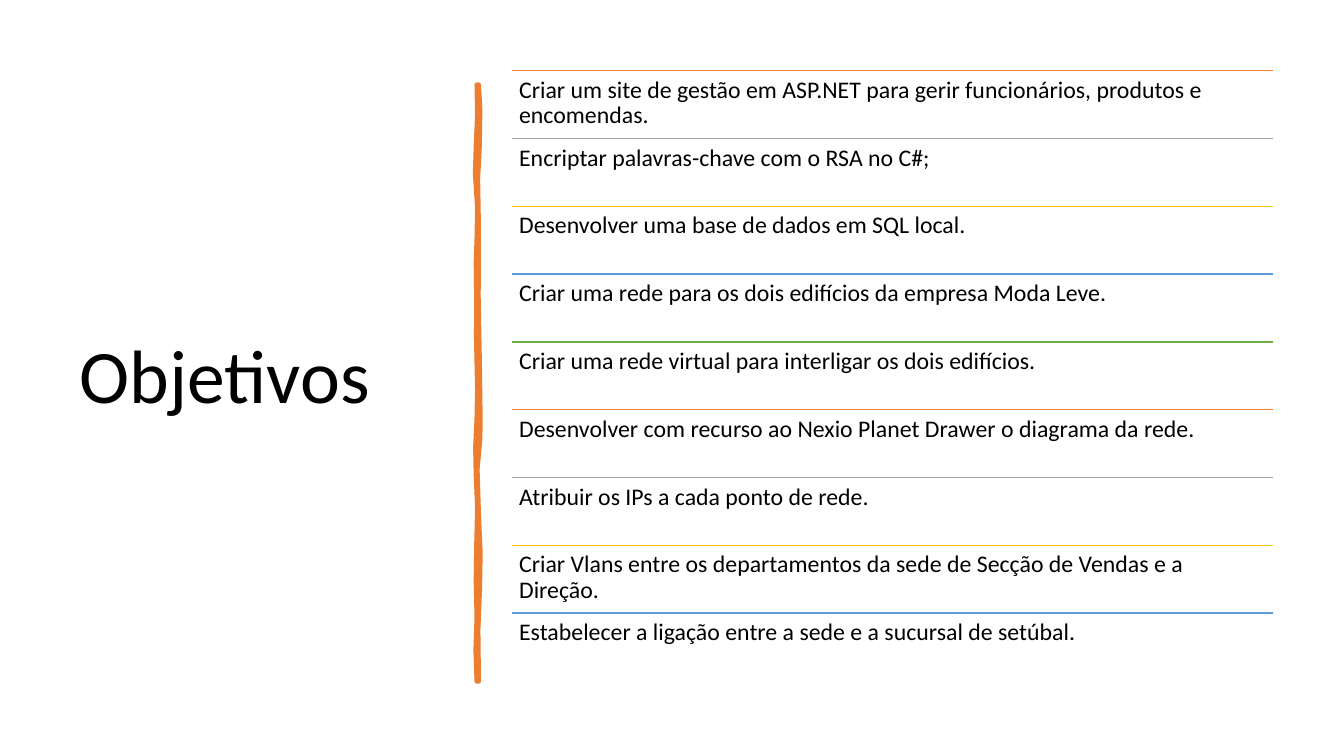
from lxml.etree import SubElement
from pptx import Presentation
from pptx.dml.color import RGBColor
from pptx.enum.shapes import MSO_CONNECTOR
from pptx.enum.text import MSO_ANCHOR, MSO_AUTO_SIZE, PP_ALIGN
from pptx.oxml.ns import qn
from pptx.util import Pt

COLORS = {
    "text": "000000", "orange": "ED7D31", "gray": "A5A5A5",
    "yellow": "FFC000", "blue": "5B9BD5", "green": "70AD47",
}
RULE_COLORS = ["orange", "gray", "yellow", "blue", "green"]
GOALS = [
    "Criar um site de gestão em ASP.NET para gerir funcionários, produtos e encomendas.",
    "Encriptar palavras-chave com o RSA no C#;",
    "Desenvolver uma base de dados em SQL local.",
    "Criar uma rede para os dois edifícios da empresa Moda Leve.",
    "Criar uma rede virtual para interligar os dois edifícios.",
    "Desenvolver com recurso ao Nexio Planet Drawer o diagrama da rede.",
    "Atribuir os IPs a cada ponto de rede.",
    "Criar Vlans entre os departamentos da sede de Secção de Vendas e a Direção.",
    "Estabelecer a ligação entre a sede e a sucursal de setúbal.",
]
LIST_LEFT, LIST_TOP, LIST_WIDTH, ROW_HEIGHT = 365.8, 50.5, 543.6, 48.43

# Outline of the hand-drawn bar: down the right edge, up the left one
BAR_OUTLINE = [
    (342, 60.5), (343, 78), (342.6, 105), (341.4, 128), (342, 163),
    (341.8, 212), (342.6, 256), (343.2, 300), (343, 314), (341, 335),
    (342, 367), (343.2, 395), (342.8, 420), (341.6, 450), (342, 486.7),
    (340.6, 486.7), (339.8, 464), (340.6, 441), (340, 415), (340.4, 388),
    (341, 363), (340, 339), (339.6, 320), (340.6, 299), (341, 278),
    (340.2, 241), (340.4, 216), (340, 187), (340.6, 171), (341, 148),
    (339.4, 124), (340, 105), (341, 82), (340.6, 60.5),
]


def write(tf, text, size, color="text", font="Calibri", anchor=MSO_ANCHOR.TOP, inset=None):
    """Fill a text frame with one left-aligned paragraph."""
    tf.word_wrap = True
    tf.auto_size = MSO_AUTO_SIZE.NONE
    tf.vertical_anchor = anchor
    if inset is not None:
        tf.margin_left = tf.margin_right = tf.margin_top = tf.margin_bottom = Pt(inset)
    p = tf.paragraphs[0]
    p.alignment = PP_ALIGN.LEFT
    p.line_spacing = 0.9
    r = p.add_run()
    r.text = text
    r.font.size = Pt(size)
    r.font.name = font
    r.font.color.rgb = RGBColor.from_string(COLORS[color])


class SlideBuilder:
    def __init__(self, slide, text_size=17, inset=5, rule_width=1):
        self.slide = slide
        self.text_size = text_size
        self.inset = inset
        self.rule_width = rule_width

    def title(self, text, x, y, w, h, size):
        sp = self.slide.shapes.title
        sp.left, sp.top, sp.width, sp.height = Pt(x), Pt(y), Pt(w), Pt(h)
        write(sp.text_frame, text, size, anchor=MSO_ANCHOR.MIDDLE)

    def text(self, text, x, y, w, h):
        sp = self.slide.shapes.add_textbox(Pt(x), Pt(y), Pt(w), Pt(h))
        write(sp.text_frame, text, self.text_size, inset=self.inset)

    def rule(self, x, y, w, color):
        line = self.slide.shapes.add_connector(
            MSO_CONNECTOR.STRAIGHT, Pt(x), Pt(y), Pt(x + w), Pt(y))
        line.line.color.rgb = RGBColor.from_string(COLORS[color])
        line.line.width = Pt(self.rule_width)
        SubElement(line._element.spPr, qn("a:effectLst"))

    def outline(self, points, color, width):
        start, *rest = [(Pt(x), Pt(y)) for x, y in points]
        builder = self.slide.shapes.build_freeform(*start)
        builder.add_line_segments(rest, close=True)
        sp = builder.convert_to_shape()
        sp.shadow.inherit = False
        sp.fill.solid()
        sp.fill.fore_color.rgb = RGBColor.from_string(COLORS[color])
        sp.line.color.rgb = RGBColor.from_string(COLORS[color])
        sp.line.width = Pt(width)


def main():
    prs = Presentation()
    prs.slide_width, prs.slide_height = Pt(960), Pt(540)
    s = SlideBuilder(prs.slides.add_slide(prs.slide_layouts[5]))
    s.title("Objetivos", 49.7, 50.4, 269.3, 439.9, size=54)
    s.outline(BAR_OUTLINE, "orange", 3.25)
    for i, goal in enumerate(GOALS):
        y = LIST_TOP + i * ROW_HEIGHT
        s.rule(LIST_LEFT, y, LIST_WIDTH, RULE_COLORS[i % len(RULE_COLORS)])
        s.text(goal, LIST_LEFT, y, LIST_WIDTH, ROW_HEIGHT)
    prs.save("out.pptx")


if __name__ == "__main__":
    main()
